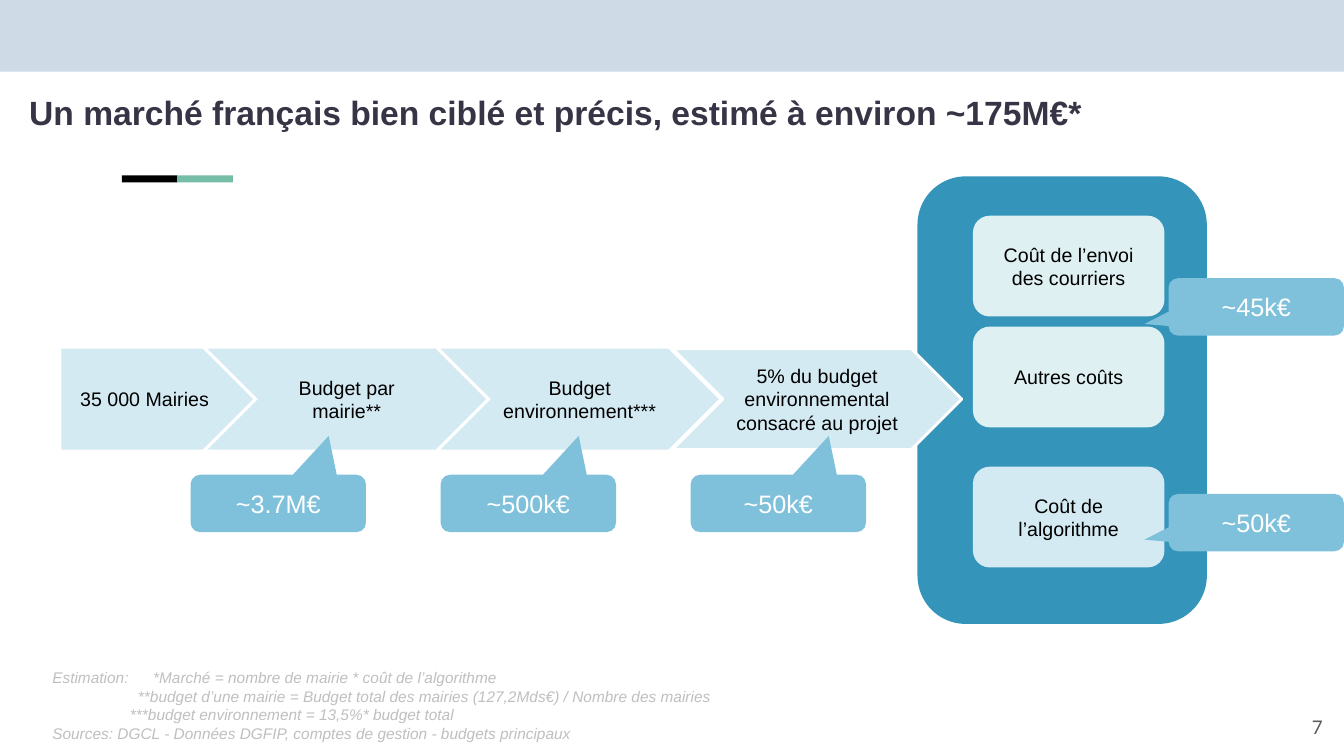
from dataclasses import dataclass

from lxml import etree
from pptx import Presentation
from pptx.dml.color import RGBColor
from pptx.enum.shapes import MSO_SHAPE
from pptx.enum.text import MSO_ANCHOR, MSO_AUTO_SIZE, PP_ALIGN
from pptx.oxml.ns import qn
from pptx.util import Inches, Pt

RECTANGLE = MSO_SHAPE.RECTANGLE
ROUNDED = MSO_SHAPE.ROUNDED_RECTANGLE
PENTAGON = MSO_SHAPE.PENTAGON
CHEVRON = MSO_SHAPE.CHEVRON
CALLOUT = MSO_SHAPE.ROUNDED_RECTANGULAR_CALLOUT
TOP, MIDDLE = MSO_ANCHOR.TOP, MSO_ANCHOR.MIDDLE
LEFT, CENTER, RIGHT = PP_ALIGN.LEFT, PP_ALIGN.CENTER, PP_ALIGN.RIGHT
NO_AUTOFIT = MSO_AUTO_SIZE.NONE

BLACK = RGBColor(0x00, 0x00, 0x00)
WHITE = RGBColor(0xFF, 0xFF, 0xFF)
BANNER_BLUE = RGBColor(0xCE, 0xDB, 0xE6)
GREEN = RGBColor(0x75, 0xBD, 0xA7)
PANEL_BLUE = RGBColor(0x34, 0x94, 0xBA)
STEP_BLUE = RGBColor(0xD4, 0xEA, 0xF3)
CARD_GREEN = RGBColor(0xDE, 0xF0, 0xF2)
AMOUNT_BLUE = RGBColor(0x7F, 0xC1, 0xDB)
TITLE_INK = RGBColor(0x37, 0x35, 0x45)
NOTE_GREY = RGBColor(0xBF, 0xBF, 0xBF)
NUMBER_GREY = RGBColor(0x59, 0x59, 0x59)

STEP_TOP, CARD_LEFT = 3.46, 9.65
CARD_WIDTH, CARD_HEIGHT = 1.9, 1.0
AMOUNT_WIDTH, AMOUNT_HEIGHT = 1.74, 0.57


@dataclass(frozen=True)
class Step:
    text: str
    left: float
    width: float
    kind: MSO_SHAPE = CHEVRON
    outlined: bool = False


@dataclass(frozen=True)
class Card:
    text: str
    top: float
    fill: RGBColor


@dataclass(frozen=True)
class Amount:
    text: str
    left: float
    top: float
    tip_dx: float
    tip_dy: float


@dataclass(frozen=True)
class Note:
    text: str
    indent: float = 0


STEPS = (
    Step("35 000 Mairies", 0.61, 1.9, PENTAGON),
    Step("Budget par mairie**", 2.06, 2.76),
    Step("Budget environnement***", 4.37, 2.76),
    Step("5% du budget environnemental consacré au projet", 6.67, 2.87, outlined=True),
)
CARDS = (
    Card("Coût de l’envoi des courriers", 2.14, CARD_GREEN),
    Card("Autres coûts", 3.24, CARD_GREEN),
    Card("Coût de l’algorithme", 4.63, STEP_BLUE),
)
# Tips are measured from the centre of each callout.
AMOUNTS = tuple(
    Amount(text, 1.89 + 2.48 * i, 4.71, 0.5, -0.67)
    for i, text in enumerate(("~3.7M€", "~500k€", "~50k€"))
) + tuple(
    Amount(text, 11.59, top, -1.11, 0.17)
    for text, top in (("~45k€", 2.76), ("~50k€", 4.9))
)
NOTE_TAB = 0.93
NOTES = (
    Note("Estimation:\t*Marché = nombre de mairie * coût de l’algorithme"),
    Note("**budget d’une mairie = Budget total des mairies (127,2Mds€) / Nombre des mairies", 0.85),
    Note("***budget environnement = 13,5%* budget total", 0.77),
    Note("Sources: DGCL - Données DGFIP, comptes de gestion - budgets principaux"),
)


def add_run(paragraph, text: str, size: float, color: RGBColor, font="Arial",
            bold=False, italic=False) -> None:
    run = paragraph.add_run()
    run.text = text
    run.font.name = font
    run.font.size = Pt(size)
    run.font.color.rgb = color
    run.font.bold = bold
    run.font.italic = italic


def set_insets(frame, inset: float) -> None:
    frame.margin_left = frame.margin_right = Inches(inset)
    frame.margin_top = frame.margin_bottom = Inches(inset)


def add_block(slide, kind: MSO_SHAPE, left: float, top: float, width: float,
              height: float, fill: RGBColor):
    block = slide.shapes.add_shape(
        kind, Inches(left), Inches(top), Inches(width), Inches(height))
    block.shadow.inherit = False
    block.fill.solid()
    block.fill.fore_color.rgb = fill
    block.line.fill.background()
    return block


def add_label(block, text: str, size: float, color: RGBColor) -> None:
    frame = block.text_frame
    frame.word_wrap = True
    frame.vertical_anchor = MIDDLE
    frame.paragraphs[0].alignment = CENTER
    add_run(frame.paragraphs[0], text, size, color)


def add_title(slide) -> None:
    title = slide.shapes.title
    title.left, title.top = Inches(0.16), Inches(0.78)
    title.width, title.height = Inches(12.43), Inches(0.78)
    frame = title.text_frame
    frame.auto_size = NO_AUTOFIT
    frame.word_wrap = True
    frame.vertical_anchor = TOP
    set_insets(frame, 0.13)
    frame.paragraphs[0].alignment = LEFT
    add_run(frame.paragraphs[0],
            "Un marché français bien ciblé et précis, estimé à environ ~175M€*",
            24, TITLE_INK, bold=True)


def add_step(slide, step: Step) -> None:
    arrow = add_block(slide, step.kind, step.left, STEP_TOP, step.width, 1, STEP_BLUE)
    if step.outlined:
        arrow.line.color.rgb = WHITE
        arrow.line.width = Pt(2)
    add_label(arrow, step.text, 14, BLACK)


def add_card(slide, card: Card) -> None:
    block = add_block(slide, ROUNDED, CARD_LEFT, card.top, CARD_WIDTH, CARD_HEIGHT, card.fill)
    add_label(block, card.text, 14, BLACK)


def add_amount(slide, amount: Amount) -> None:
    callout = add_block(slide, CALLOUT, amount.left, amount.top,
                        AMOUNT_WIDTH, AMOUNT_HEIGHT, AMOUNT_BLUE)
    callout.adjustments[0] = amount.tip_dx / AMOUNT_WIDTH
    callout.adjustments[1] = amount.tip_dy / AMOUNT_HEIGHT
    add_label(callout, amount.text, 18, WHITE)


def add_notes(slide) -> None:
    frame = slide.shapes.add_textbox(
        Inches(0.42), Inches(6.58), Inches(8.59), Inches(0.84)).text_frame
    frame.word_wrap = True
    for i, note in enumerate(NOTES):
        paragraph = frame.add_paragraph() if i else frame.paragraphs[0]
        properties = paragraph._p.get_or_add_pPr()
        properties.set("marL", str(Inches(note.indent)))
        properties.set("indent", "0")
        if "\t" in note.text:
            tabs = etree.SubElement(properties, qn("a:tabLst"))
            etree.SubElement(tabs, qn("a:tab"), pos=str(Inches(NOTE_TAB)), algn="l")
        add_run(paragraph, note.text, 11, NOTE_GREY, italic=True)


def add_page_number(slide) -> None:
    frame = slide.shapes.add_textbox(
        Inches(12.45), Inches(6.93), Inches(0.8), Inches(0.57)).text_frame
    frame.word_wrap = True
    frame.vertical_anchor = MIDDLE
    set_insets(frame, 0.13)
    frame.paragraphs[0].alignment = RIGHT
    add_run(frame.paragraphs[0], "7", 13.4, NUMBER_GREY, font="Lato")


def main() -> None:
    presentation = Presentation()
    presentation.slide_width = Inches(13.33)
    presentation.slide_height = Inches(7.5)
    slide = presentation.slides.add_slide(presentation.slide_layouts[5])
    add_block(slide, RECTANGLE, 0, 0, 13.33, 0.71, BANNER_BLUE)
    for i, color in enumerate((BLACK, GREEN)):
        add_block(slide, RECTANGLE, 1.21 + 0.55 * i, 1.74, 0.55, 0.07, color)
    add_title(slide)
    add_block(slide, ROUNDED, 9.1, 1.75, 2.87, 4.44, PANEL_BLUE)
    add_page_number(slide)
    add_notes(slide)
    for step in STEPS:
        add_step(slide, step)
    for card in CARDS:
        add_card(slide, card)
    for amount in AMOUNTS:
        add_amount(slide, amount)
    presentation.save("out.pptx")


if __name__ == "__main__":
    main()
